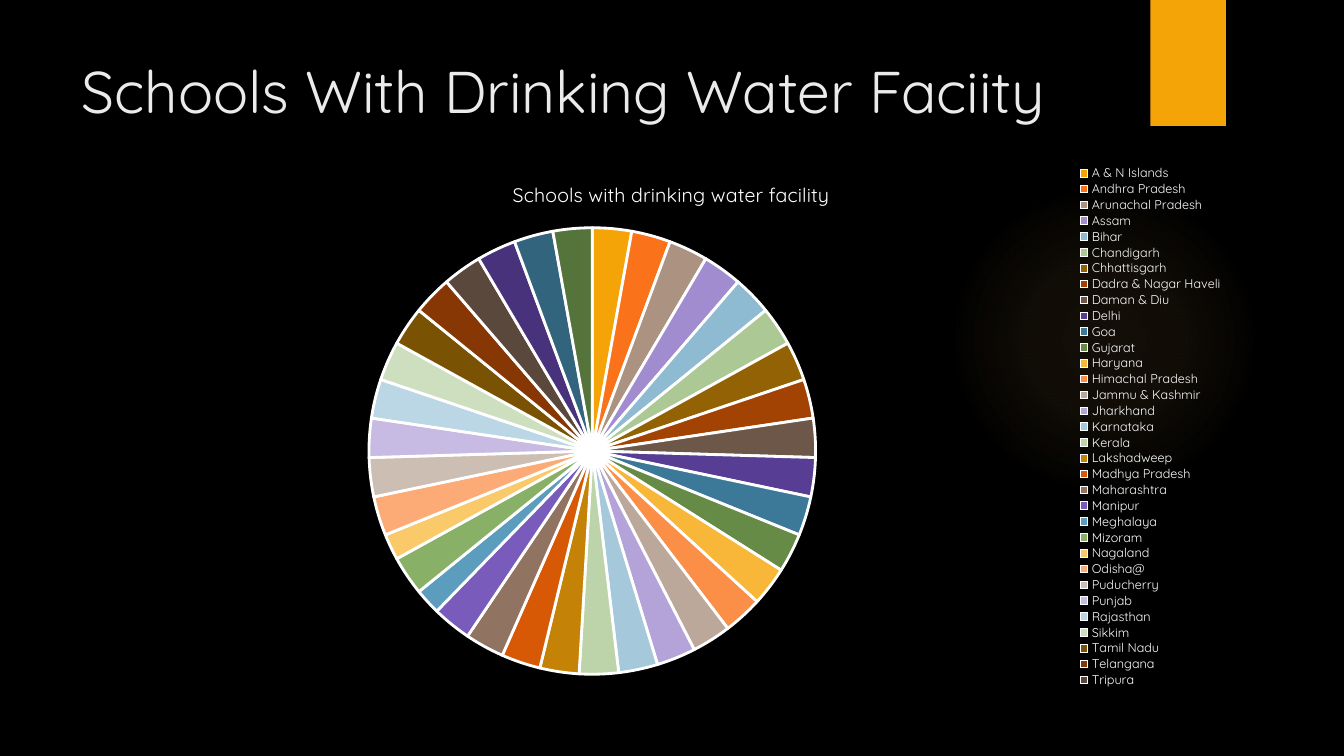
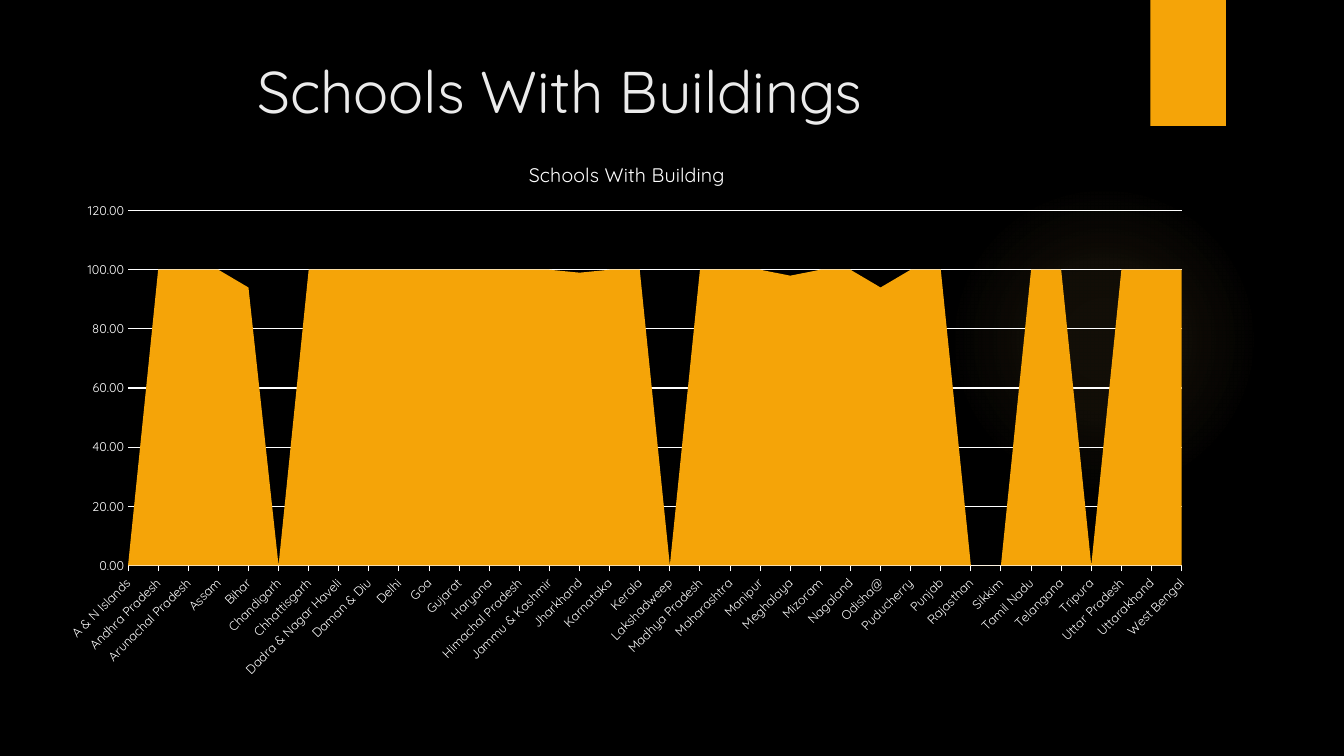
from dataclasses import dataclass

from lxml import etree
from pptx import Presentation
from pptx import util as u
from pptx.chart.data import CategoryChartData
from pptx.dml.color import RGBColor
from pptx.enum import chart as ch, shapes, text
from pptx.oxml import parse_xml
from pptx.oxml.ns import nsdecls, qn


@dataclass(frozen=True)
class Theme:
    font: str = "Quicksand"
    background: str = "000000"
    accent: str = "F5A408"
    glow: str = "FAC96A"
    title: str = "EBEBEB"
    ink: str = "FFFFFF"
    title_size: float = 42
    caption_size: float = 14
    body_size: float = 10
    label_size: float = 9
    grid_width: float = 0.75
    slice_width: float = 2


THEME = Theme()
STATES = [
    "A & N Islands", "Andhra Pradesh", "Arunachal Pradesh", "Assam", "Bihar",
    "Chandigarh", "Chhattisgarh", "Dadra & Nagar Haveli", "Daman & Diu",
    "Delhi", "Goa", "Gujarat", "Haryana", "Himachal Pradesh",
    "Jammu & Kashmir", "Jharkhand", "Karnataka", "Kerala", "Lakshadweep",
    "Madhya Pradesh", "Maharashtra", "Manipur", "Meghalaya", "Mizoram",
    "Nagaland", "Odisha@", "Puducherry", "Punjab", "Rajasthan", "Sikkim",
    "Tamil Nadu", "Telangana", "Tripura", "Uttar Pradesh", "Uttarakhand",
    "West Bengal",
]
WATER = {"Meghalaya": 2, "Nagaland": 2}
BUILDINGS = {
    "A & N Islands": 0, "Bihar": 94, "Chandigarh": 0, "Jharkhand": 99,
    "Lakshadweep": 0, "Meghalaya": 98, "Odisha@": 94, "Rajasthan": 0,
    "Sikkim": 0, "Tripura": 0,
}
SLICES = """
    F5A408 FA731A AB9281 A18CD0 8EBBD2 ACC995
    936205 A24304 6C5748 583D94 3C7897 658B47
    F8B738 FB8F48 BCA89A B4A3D9 A5C9DB BDD4AA
    C48306 D85905 907360 795BBC 5C9DBE 88B167
    FAC96A FCAB76 CDBEB3 C7BAE3 BBD6E4 CDDFBF
    7A5204 873703 5A483C 49327C 32647E 54743B
""".split()


def inches(*lengths):
    return [u.Inches(length) for length in lengths]


def paint(fill, color):
    fill.solid()
    fill.fore_color.rgb = RGBColor.from_string(color)


def style_font(font, size, color=THEME.ink):
    font.name = THEME.font
    font.size = u.Pt(size)
    font.bold = False
    font.color.rgb = RGBColor.from_string(color)


def style_line(line, width):
    paint(line.fill, THEME.ink)
    line.width = u.Pt(width)


def add_plain_shape(page, kind, box):
    shape = page.shapes.add_shape(kind, *inches(*box))
    shape.shadow.inherit = False
    shape.line.fill.background()
    return shape


def add_glow(page, box):
    glow = add_plain_shape(page, shapes.MSO_SHAPE.OVAL, box)
    stops = "".join(
        f'<a:gs pos="{place * 1000}"><a:srgbClr val="{THEME.glow}">'
        f'<a:alpha val="{alpha * 1000}"/></a:srgbClr></a:gs>'
        for place, alpha in ((0, 7), (36, 6), (69, 0))
    )
    gradient = parse_xml(
        f'<a:gradFill {nsdecls("a")} rotWithShape="1"><a:gsLst>{stops}</a:gsLst>'
        '<a:path path="circle"><a:fillToRect l="50000" t="50000" r="50000" '
        'b="50000"/></a:path></a:gradFill>'
    )
    geometry = glow._element.spPr.find(qn("a:prstGeom"))
    geometry.addnext(gradient)


def add_title(page, box, wording, indent):
    frame = page.shapes.add_textbox(*inches(*box)).text_frame
    frame.word_wrap = True
    frame.vertical_anchor = text.MSO_ANCHOR.TOP
    frame.margin_left = u.Inches(0.1 + indent)
    para = frame.paragraphs[0]
    para.text = wording
    style_font(para.runs[0].font, THEME.title_size, THEME.title)


def add_page(deck, title, indent=0):
    page = deck.slides.add_slide(deck.slide_layouts[6])
    paint(page.background.fill, THEME.background)
    add_glow(page, (9.41, 1.83, 3.08, 3.08))
    band = add_plain_shape(page, shapes.MSO_SHAPE.RECTANGLE, (11.41, 0, 0.75, 1.25))
    paint(band.fill, THEME.accent)
    add_title(page, (0.71, 0.49, 10.29, 1.53), title, indent)
    return page


def set_layout(parent, index, chart_box, part, inner=False):
    for old in parent.findall(qn("c:layout")):
        parent.remove(old)
    layout = etree.Element(qn("c:layout"))
    manual = etree.SubElement(layout, qn("c:manualLayout"))
    settings = {"layoutTarget": "inner"} if inner else {}
    settings.update(xMode="edge", yMode="edge")
    width, height = chart_box[2:]
    for name, length, whole in zip("xywh", part, (width, height, width, height)):
        settings[name] = length / whole
    for name, value in settings.items():
        etree.SubElement(manual, qn(f"c:{name}")).set("val", str(value))
    parent.insert(index, layout)


def add_state_chart(page, box, kind, caption, caption_at, plot_box, usual, exceptions):
    data = CategoryChartData()
    data.categories = STATES
    data.add_series("Series 1", [exceptions.get(state, usual) for state in STATES])
    chart = page.shapes.add_chart(kind, *inches(*box), data).chart
    style_font(chart.font, THEME.body_size)
    chart.has_legend = False
    chart.has_title = True
    para = chart.chart_title.text_frame.paragraphs[0]
    para.text = caption
    style_font(para.runs[0].font, THEME.caption_size)
    set_layout(chart.chart_title._element, 1, box, caption_at)

    space = chart._chartSpace
    area = space.find(f'{qn("c:chart")}/{qn("c:plotArea")}')
    set_layout(area, 0, box, plot_box, inner=True)
    clear = f'<c:spPr {nsdecls("c", "a")}><a:noFill/><a:ln><a:noFill/></a:ln></c:spPr>'
    area.append(parse_xml(clear))
    space.find(qn("c:chart")).addnext(parse_xml(clear))
    return chart


def add_water_pie(page, box):
    chart = add_state_chart(
        page, box, ch.XL_CHART_TYPE.PIE, "Schools with drinking water facility",
        (4.48, 0.16), (3.09, 0.67, 4.43, 4.43), 3, WATER,
    )
    plot = chart.plots[0]
    plot.vary_by_categories = True
    for index, color in enumerate(SLICES):
        wedge = plot.series[0].points[index].format
        paint(wedge.fill, color)
        style_line(wedge.line, THEME.slice_width)
    chart.has_legend = True
    legend = chart.legend
    legend.position = ch.XL_LEGEND_POSITION.RIGHT
    legend.include_in_layout = False
    style_font(legend.font, THEME.label_size)
    set_layout(legend._element, 1, box, (10.05, 0.05, 1.58, 5.19))


def add_building_area(page, box):
    chart = add_state_chart(
        page, box, ch.XL_CHART_TYPE.AREA, "Schools With Building",
        (4.76, 0.17), (0.82, 0.71, 10.45, 3.52), 100, BUILDINGS,
    )
    plot = chart.plots[0]
    plot.vary_by_categories = False
    paint(plot.series[0].format.fill, THEME.accent)

    states, values = chart.category_axis, chart.value_axis
    for axis in (states, values):
        style_font(axis.tick_labels.font, THEME.label_size)
        axis.minor_tick_mark = ch.XL_TICK_MARK.NONE
    states.has_major_gridlines = False
    states.major_tick_mark = ch.XL_TICK_MARK.OUTSIDE
    style_line(states.format.line, THEME.grid_width)
    slant = states._element.find(f'{qn("c:txPr")}/{qn("a:bodyPr")}')
    slant.set("rot", "-2700000")

    values.minimum_scale, values.maximum_scale, values.major_unit = 0, 120, 20
    values.major_tick_mark = ch.XL_TICK_MARK.NONE
    values.tick_labels.number_format = "0.00"
    values.tick_labels.number_format_is_linked = False
    values.format.line.fill.background()
    values.has_major_gridlines = True
    style_line(values.major_gridlines.format.line, THEME.grid_width)
    values._element.find(qn("c:crossBetween")).set("val", "midCat")


def main():
    deck = Presentation()
    deck.slide_width, deck.slide_height = inches(13.33, 7.5)
    water = add_page(deck, "Schools With Drinking Water Faciity")
    add_water_pie(water, (0.57, 1.59, 12.18, 5.24))
    buildings = add_page(deck, "Schools With Buildings", indent=1.74)
    add_building_area(buildings, (0.45, 1.38, 11.55, 5.45))
    deck.save("out.pptx")


if __name__ == "__main__":
    main()
